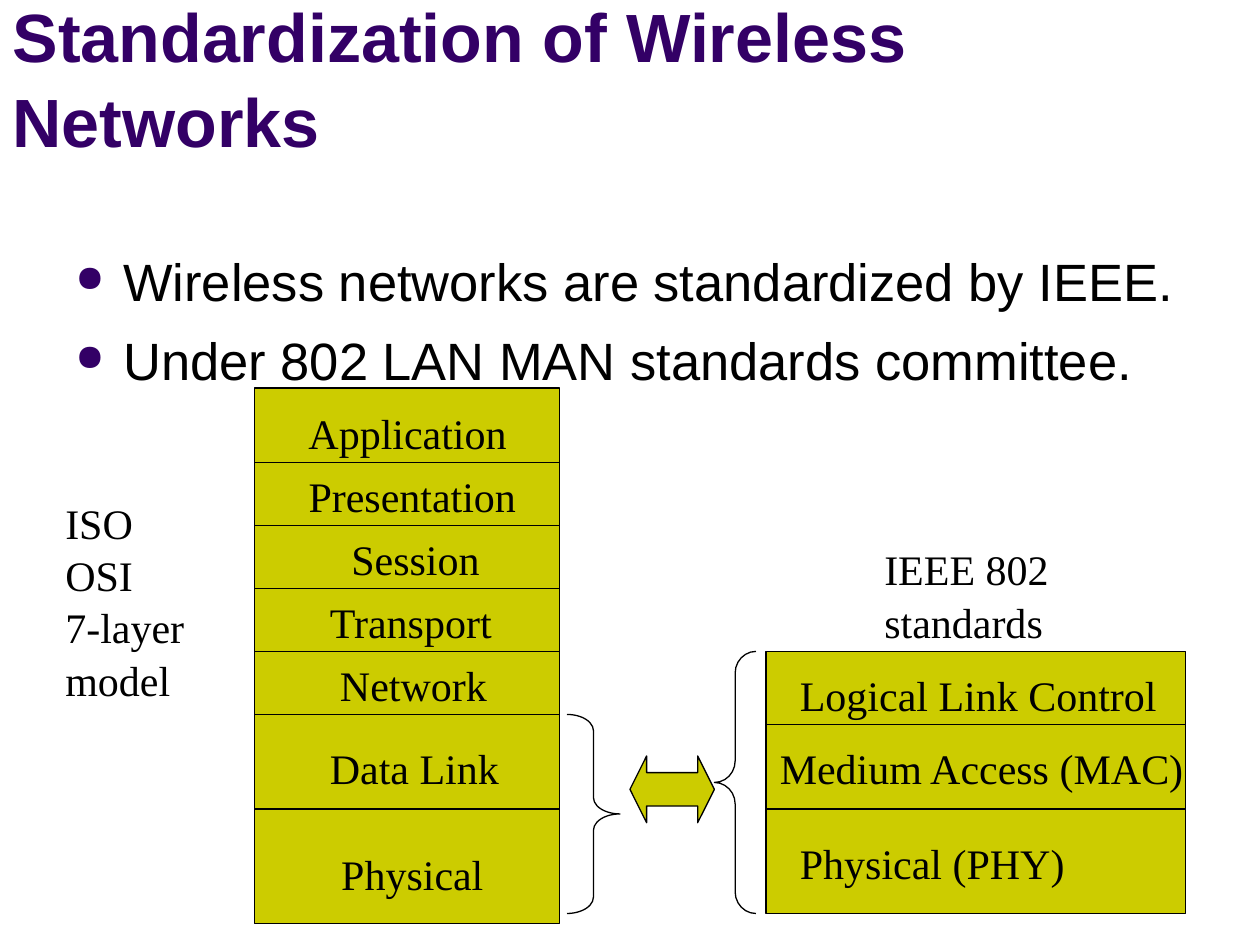
from lxml import etree
from pptx import Presentation
from pptx.dml.color import RGBColor
from pptx.enum.shapes import MSO_CONNECTOR, MSO_SHAPE as SHAPE
from pptx.enum.text import MSO_ANCHOR, MSO_AUTO_SIZE, PP_ALIGN
from pptx.oxml.ns import qn
from pptx.util import Inches, Pt

COLORS = {"title": "330066", "text": "000000", "line": "000000",
          "fill": "CCCC00"}


def write(sp, text, size=24, font="Times New Roman", color="text", bold=False,
          wrap=False, anchor=MSO_ANCHOR.TOP, bullet=False, gap=0):
    tf = sp.text_frame
    tf.auto_size = MSO_AUTO_SIZE.NONE
    tf.word_wrap = wrap
    tf.vertical_anchor = anchor
    for i, line in enumerate(text.split("\n")):
        p = tf.add_paragraph() if i else tf.paragraphs[0]
        if bullet:
            pPr = p._p.get_or_add_pPr()
            pPr.set("marL", str(Inches(0.38)))
            pPr.set("indent", str(Inches(-0.38)))
            clr = etree.SubElement(pPr, qn("a:buClr"))
            etree.SubElement(clr, qn("a:srgbClr"), val=COLORS["title"])
            etree.SubElement(pPr, qn("a:buSzPct"), val="70000")
            etree.SubElement(pPr, qn("a:buChar"), char="●")
        p.alignment = PP_ALIGN.LEFT
        p.line_spacing = 1.04
        p.space_before = Pt(gap if i else 0)
        r = p.add_run()
        r.text = line
        r.font.name = font
        r.font.size = Pt(size)
        r.font.bold = bold
        r.font.color.rgb = RGBColor.from_string(COLORS[color])


prs = Presentation()
prs.slide_width, prs.slide_height = Inches(10), Inches(7.5)
s = prs.slides.add_slide(prs.slide_layouts[5])

title = s.shapes.title
title.left, title.top = Inches(0), Inches(0.13)
title.width, title.height = Inches(9.83), Inches(1.2)
write(title, "Standardization of Wireless Networks", size=39, font="Arial",
      color="title", bold=True, wrap=True, anchor=MSO_ANCHOR.BOTTOM)

body = s.shapes.add_textbox(Inches(0.5), Inches(1.88), Inches(9), Inches(4.82))
body.text_frame.margin_top = Inches(0.08)
write(body, "Wireless networks are standardized by IEEE.\n"
      "Under 802 LAN MAN standards committee.",
      size=30, font="Arial", wrap=True, bullet=True, gap=7.5)

shapes = [
    (SHAPE.RECTANGLE, 2.02, 3.08, 2.42, 4.25, True, []),
    (SHAPE.RECTANGLE, 6.08, 5.17, 3.33, 2.08, True, []),
    (SHAPE.RIGHT_BRACE, 4.5, 5.67, 0.42, 1.58, False, [0.31, 0.5]),
    (SHAPE.LEFT_BRACE, 5.67, 5.17, 0.33, 2.08, False, [0.52, 0.5]),
    (SHAPE.LEFT_RIGHT_ARROW, 5, 6, 0.67, 0.53, True, [0.5, 0.25]),
]
for kind, x, y, w, h, filled, adjustments in shapes:
    sp = s.shapes.add_shape(kind, Inches(x), Inches(y), Inches(w), Inches(h))
    sp.shadow.inherit = False
    for i, value in enumerate(adjustments):
        sp.adjustments[i] = value
    if filled:
        sp.fill.solid()
        sp.fill.fore_color.rgb = RGBColor.from_string(COLORS["fill"])
    else:
        sp.fill.background()
    sp.line.color.rgb = RGBColor.from_string(COLORS["line"])
    sp.line.width = Pt(0.75)

dividers = [
    (2.02, 4.44, [3.67, 4.17, 4.67, 5.17, 5.67, 6.42]),
    (6.08, 9.41, [5.75, 6.42]),
]
for x1, x2, rows in dividers:
    for y in rows:
        line = s.shapes.add_connector(MSO_CONNECTOR.STRAIGHT, Inches(x1),
                                      Inches(y), Inches(x2), Inches(y))
        line.line.color.rgb = RGBColor.from_string(COLORS["line"])
        line.line.width = Pt(0.75)
        etree.SubElement(line._element.spPr, qn("a:effectLst"))

labels = [
    ("Application", 2.35, 3.17, 1.77),
    ("Presentation", 2.35, 3.67, 1.85),
    ("Session", 2.69, 4.17, 1.22),
    ("Transport", 2.52, 4.67, 1.49),
    ("Network", 2.6, 5.17, 1.36),
    ("Data Link", 2.52, 5.83, 1.54),
    ("Physical", 2.61, 6.67, 1.33),
    ("ISO\nOSI\n7-layer\nmodel", 0.42, 3.88, 1.14),
    ("Logical Link Control", 6.25, 5.25, 3.03),
    ("Medium Access (MAC)", 6.09, 5.83, 3.42),
    ("Physical (PHY)", 6.25, 6.58, 2.3),
    ("IEEE 802\nstandards", 6.92, 4.25, 1.5),
]
for text, x, y, w in labels:
    h = 0.5 + 0.4 * text.count("\n")
    box = s.shapes.add_textbox(Inches(x), Inches(y), Inches(w), Inches(h))
    write(box, text)

prs.save("out.pptx")
